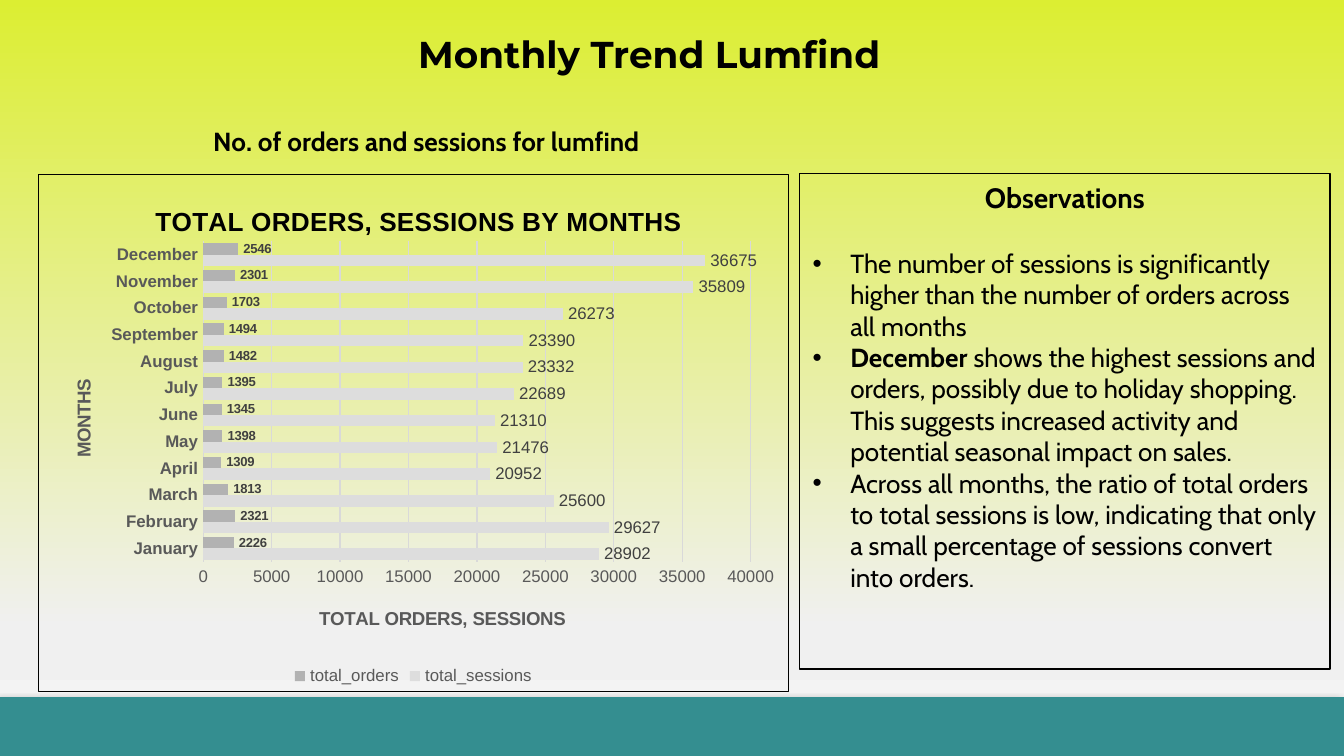
from lxml.etree import SubElement
from pptx import Presentation
from pptx.chart.data import CategoryChartData
from pptx.dml.color import RGBColor
from pptx.enum.chart import XL_CHART_TYPE as ChartType, XL_LABEL_POSITION as LabelPos
from pptx.enum.chart import XL_LEGEND_POSITION as LegendPos, XL_TICK_MARK as Tick
from pptx.enum.shapes import MSO_SHAPE as Shape
from pptx.enum.text import MSO_ANCHOR as Anchor, PP_ALIGN as Align
from pptx.oxml import parse_xml
from pptx.oxml.ns import nsdecls, qn
from pptx.util import Cm, Pt


def style(font, size, color="000000", bold=False, name="Arial"):
    font.size, font.bold, font.name = Pt(size), bold, name
    font.color.rgb = RGBColor.from_string(color)


def place(element, **fractions):
    """Give a chart part a manual layout in fractions of the chart."""
    layout = element.find(qn("c:layout"))
    if layout is None:
        layout = parse_xml(f"<c:layout {nsdecls('c')}/>")
        element.insert(0, layout)
    manual = SubElement(layout, qn("c:manualLayout"))
    if "w" in fractions:
        SubElement(manual, qn("c:layoutTarget")).set("val", "inner")
    for mode in ("xMode", "yMode"):
        SubElement(manual, qn(f"c:{mode}")).set("val", "edge")
    for key, value in fractions.items():
        SubElement(manual, qn(f"c:{key}")).set("val", str(value))


deck = Presentation()
deck.slide_width, deck.slide_height = Cm(25.4), Cm(14.29)
page = deck.slides.add_slide(deck.slide_layouts[5])

# Background gradient, top to bottom
fill = page.background.fill
fill.gradient()
fill.gradient_angle = 270
stops = page.element.find(".//" + qn("a:gsLst"))
for stop in list(stops):
    stops.remove(stop)
for percent, color in [(0, "DCEE32"), (83, "F0F0F0"), (85, "F0F0F0"), (100, "F5F5F5")]:
    stop = SubElement(stops, qn("a:gs"), pos=str(percent * 1000))
    SubElement(stop, qn("a:srgbClr"), val=color)

# Footer bar with a soft shadow
bar = page.shapes.add_shape(Shape.RECTANGLE, 0, Cm(13.18), Cm(25.4), Cm(1.11))
bar.fill.solid()
bar.fill.fore_color.rgb = RGBColor.from_string("348E90")
bar.line.fill.background()
bar.shadow.inherit = False
effects = bar.element.spPr.find(qn("a:effectLst"))
shadow = SubElement(effects, qn("a:outerShdw"), blurRad=str(Pt(4)), dist=str(Pt(3)),
                    dir="8100000", algn="tr", rotWithShape="0")
shade = SubElement(shadow, qn("a:srgbClr"), val="000000")
SubElement(shade, qn("a:alpha"), val="40000")

# Title and chart heading
title = page.shapes.title
title.left, title.top, title.width, title.height = Cm(7.65), Cm(0.46), Cm(11.51), Cm(1.12)
heading = page.shapes.add_textbox(Cm(3.78), Cm(2.24), Cm(9.47), Cm(0.86))
for box, text, size, name in [
    (title, "Monthly Trend Lumfind", 20, "Montserrat"),
    (heading, "No. of orders and sessions for lumfind", 14, "Cabin"),
]:
    frame = box.text_frame
    frame.text = text
    frame.word_wrap = True
    frame.vertical_anchor = Anchor.TOP
    frame.paragraphs[0].alignment = Align.LEFT
    style(frame.paragraphs[0].runs[0].font, size, bold=True, name=name)

# Chart of orders and sessions
data = CategoryChartData()
data.categories = ["January", "February", "March", "April", "May", "June", "July",
                   "August", "September", "October", "November", "December"]
data.add_series("total_sessions", [28902, 29627, 25600, 20952, 21476, 21310,
                                   22689, 23332, 23390, 26273, 35809, 36675])
data.add_series("total_orders", [2226, 2321, 1813, 1309, 1398, 1345,
                                 1395, 1482, 1494, 1703, 2301, 2546])
chart = page.shapes.add_chart(ChartType.BAR_CLUSTERED, Cm(0.71), Cm(3.28),
                              Cm(14.2), Cm(9.8), data).chart
style(chart.font, 10)
chart.element.find(qn("c:txPr")).addprevious(parse_xml(
    f'<c:spPr {nsdecls("c", "a")}><a:noFill/><a:ln w="9525"><a:solidFill>'
    '<a:srgbClr val="000000"/></a:solidFill></a:ln></c:spPr>'))
place(chart.element.find(".//" + qn("c:plotArea")), x=0.22, y=0.13, w=0.73, h=0.62)

plot = chart.plots[0]
plot.gap_width, plot.overlap, plot.vary_by_categories = 33, 0, False
for series, color, size, bold in zip(plot.series, ("DDDDDD", "B2B2B2"), (9, 7), (False, True)):
    series.format.fill.solid()
    series.format.fill.fore_color.rgb = RGBColor.from_string(color)
    labels = series.data_labels
    labels.show_value = True
    labels.position = LabelPos.OUTSIDE_END
    style(labels.font, size, "404040", bold)

# Axes, gridlines and legend
months, totals = chart.category_axis, chart.value_axis
for axis in (months, totals):
    axis.major_tick_mark = axis.minor_tick_mark = Tick.NONE
    style(axis.tick_labels.font, 9, "595959", bold=axis is months)
totals.minimum_scale, totals.maximum_scale, totals.major_unit = 0, 40000, 5000
totals.format.line.fill.background()
for line in (months.format.line, totals.major_gridlines.format.line):
    line.color.rgb = RGBColor.from_string("D9D9D9")
    line.width = Pt(0.75)
chart.has_legend = True
chart.legend.position = LegendPos.BOTTOM
chart.legend.include_in_layout = False
style(chart.legend.font, 9, "595959")

# Chart and axis titles
for caption, text, size, color, x, y in [
    (chart.chart_title, "TOTAL ORDERS, SESSIONS BY MONTHS", 14, "000000", 0.15, 0.05),
    (months.axis_title, "MONTHS", 10, "595959", 0.04, 0.39),
    (totals.axis_title, "TOTAL ORDERS, SESSIONS", 10, "595959", 0.37, 0.83),
]:
    caption.text_frame.text = text
    style(caption.text_frame.paragraphs[0].runs[0].font, size, color, bold=True)
    place(caption.element, x=x, y=y)

# Observations panel
panel = page.shapes.add_shape(Shape.RECTANGLE, Cm(15.11), Cm(3.28), Cm(10.03), Cm(9.37))
panel.fill.background()
panel.line.color.rgb = RGBColor.from_string("000000")
panel.line.width = Pt(0.75)
panel.shadow.inherit = False
frame = panel.text_frame
frame.word_wrap = True
frame.vertical_anchor = Anchor.TOP
para = frame.paragraphs[0]
para.text = "Observations"
para.alignment = Align.CENTER
para.space_after = Pt(18)
style(para.runs[0].font, 15, bold=True, name="Cabin")

for lead, text in [
    ("", "The number of sessions is significantly higher than the number of orders "
         "across all months"),
    ("December", " shows the highest sessions and orders, possibly due to holiday shopping. "
                 "This suggests increased activity and potential seasonal impact on sales."),
    ("", "Across all months, the ratio of total orders to total sessions is low, indicating "
         "that only a small percentage of sessions convert into orders."),
]:
    para = frame.add_paragraph()
    para.alignment = Align.LEFT
    props = para._p.get_or_add_pPr()
    props.set("marL", str(Cm(0.71)))
    props.set("indent", str(-Cm(0.71)))
    SubElement(props, qn("a:buFont"), typeface="Arial")
    SubElement(props, qn("a:buChar"), char="•")
    for part, bold in ((lead, True), (text, False)):
        if part:
            span = para.add_run()
            span.text = part
            style(span.font, 14, bold=bold, name="Cabin")

deck.save("out.pptx")
